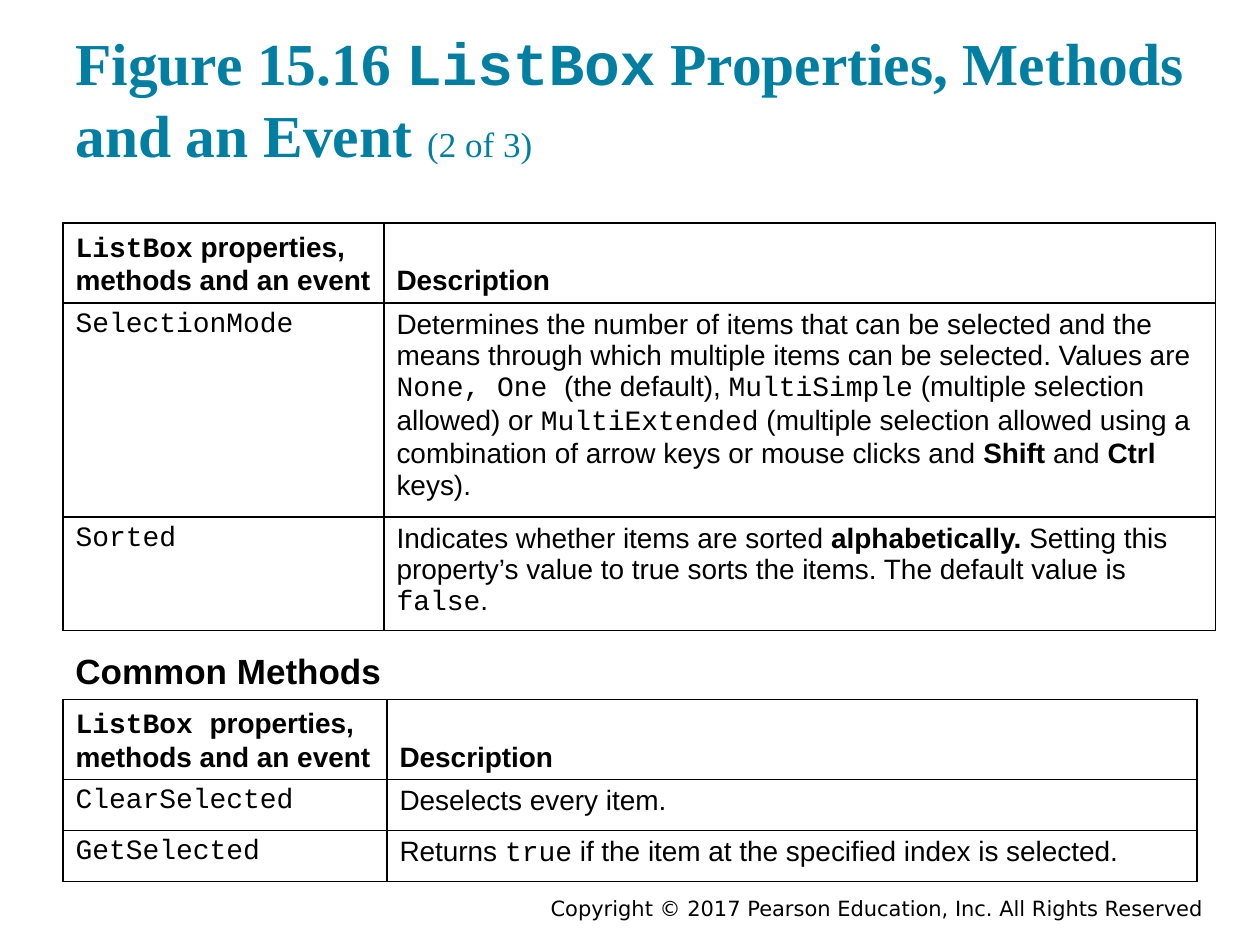
from lxml import etree
from pptx import Presentation
from pptx.dml.color import RGBColor
from pptx.enum import text
from pptx.oxml.ns import qn
from pptx.util import Cm, Pt

TEAL = RGBColor(0x00, 0x7F, 0xA3)
BLACK = RGBColor(0, 0, 0)
WHITE = RGBColor(255, 255, 255)
SANS, CODE, SERIF = "Arial", "Courier New", "Times New Roman"

# A paragraph is a list of runs; a run is (words, font, bold).
TITLE = [("Figure 15.16 ", SERIF, True), ("ListBox", CODE, True),
         (" Properties, Methods and an Event ", SERIF, True), ("(2 of 3)", SERIF, False)]
SUBHEADING = [("Common Methods", SANS, True)]
COPYRIGHT = [("Copyright © 2017 Pearson Education, Inc. All Rights Reserved", "DejaVu Sans", False)]


def header(*first_line):
    return [[list(first_line), [("methods and an event", SANS, True)]],
            [[("Description", SANS, True)]]]


def entry(name, *description):
    return [[[(name, CODE, False)]], [list(description)]]


PROPERTIES = [
    header(("ListBox", CODE, True), (" properties,", SANS, True)),
    entry("SelectionMode",
          ("Determines the number of items that can be selected and the means through which "
           "multiple items can be selected. Values are ", SANS, False),
          ("None, One ", CODE, False), ("(the default), ", SANS, False),
          ("MultiSimple", CODE, False), (" (multiple selection allowed) or ", SANS, False),
          ("MultiExtended", CODE, False),
          (" (multiple selection allowed using a combination of arrow keys or mouse clicks and ",
           SANS, False),
          ("Shift ", SANS, True), ("and ", SANS, False), ("Ctrl", SANS, True),
          (" keys).", SANS, False)),
    entry("Sorted",
          ("Indicates whether items are sorted ", SANS, False), ("alphabetically.", SANS, True),
          (" Setting this property’s value to true sorts the items. The default value is ",
           SANS, False),
          ("false", CODE, False), (".", SANS, False)),
]
METHODS = [
    header(("ListBox ", CODE, True), ("properties,", SANS, True)),
    entry("ClearSelected", ("Deselects every item.", SANS, False)),
    entry("GetSelected", ("Returns ", SANS, False), ("true", CODE, False),
          (" if the item at the specified index is selected.", SANS, False)),
]

LEFT = Cm(1.27)
INSET = Cm(0.25)


def write(para, runs, size, color=BLACK):
    para.font.size = Pt(size)
    para.font.color.rgb = color
    for words, font, bold in runs:
        span = para.add_run()
        span.text = words
        span.font.name = font
        span.font.bold = bold


def add_text(slide, place, runs, size, color=BLACK, anchor=text.MSO_ANCHOR.TOP, inset=INSET):
    frame = slide.shapes.add_textbox(*place).text_frame
    frame.word_wrap = True
    frame.vertical_anchor = anchor
    frame.margin_left = frame.margin_right = INSET
    frame.margin_top = frame.margin_bottom = inset
    para = frame.paragraphs[0]
    write(para, runs, size, color)
    return para


def add_borders(cell):
    properties = cell._tc.get_or_add_tcPr()
    for side in ("lnL", "lnR", "lnT", "lnB"):
        line = etree.SubElement(properties, qn(f"a:{side}"), w=str(Pt(1)))
        fill = etree.SubElement(line, qn("a:solidFill"))
        etree.SubElement(fill, qn("a:srgbClr"), val=str(BLACK))


def add_table(slide, top, widths, heights, rows):
    table = slide.shapes.add_table(len(rows), len(widths), LEFT, top,
                                   sum(widths), sum(heights)).table
    for column, width in zip(table.columns, widths):
        column.width = width
    for r, (height, row) in enumerate(zip(heights, rows)):
        table.rows[r].height = height
        for c, paragraphs in enumerate(row):
            cell = table.cell(r, c)
            add_borders(cell)
            cell.fill.solid()
            cell.fill.fore_color.rgb = WHITE
            cell.vertical_anchor = text.MSO_ANCHOR.TOP if r else text.MSO_ANCHOR.BOTTOM
            frame = cell.text_frame
            for i, runs in enumerate(paragraphs):
                write(frame.add_paragraph() if i else frame.paragraphs[0], runs, 16)


def main():
    deck = Presentation()
    deck.slide_width, deck.slide_height = Cm(25.4), Cm(19.05)
    slide = deck.slides.add_slide(deck.slide_layouts[6])

    footer = add_text(slide, (Cm(7.62), Cm(17.98), Cm(16.89), Cm(0.64)), COPYRIGHT, 12,
                      anchor=text.MSO_ANCHOR.MIDDLE, inset=0)
    footer.alignment = text.PP_ALIGN.RIGHT

    title = add_text(slide, (LEFT, Cm(0.61), Cm(22.86), Cm(3.05)), TITLE, 34, TEAL,
                     text.MSO_ANCHOR.BOTTOM)
    title.runs[-1].font.size = Pt(20)

    add_table(slide, Cm(4.5), (Cm(6.47), Cm(16.76)), (Cm(1.56), Cm(4.12), Cm(2.18)), PROPERTIES)
    add_text(slide, (LEFT, Cm(12.85), Cm(22.86), Cm(0.97)), SUBHEADING, 20)
    add_table(slide, Cm(14.1), (Cm(6.53), Cm(16.33)), (Cm(1.56), Cm(1.03), Cm(1.03)), METHODS)
    deck.save("out.pptx")


if __name__ == "__main__":
    main()
